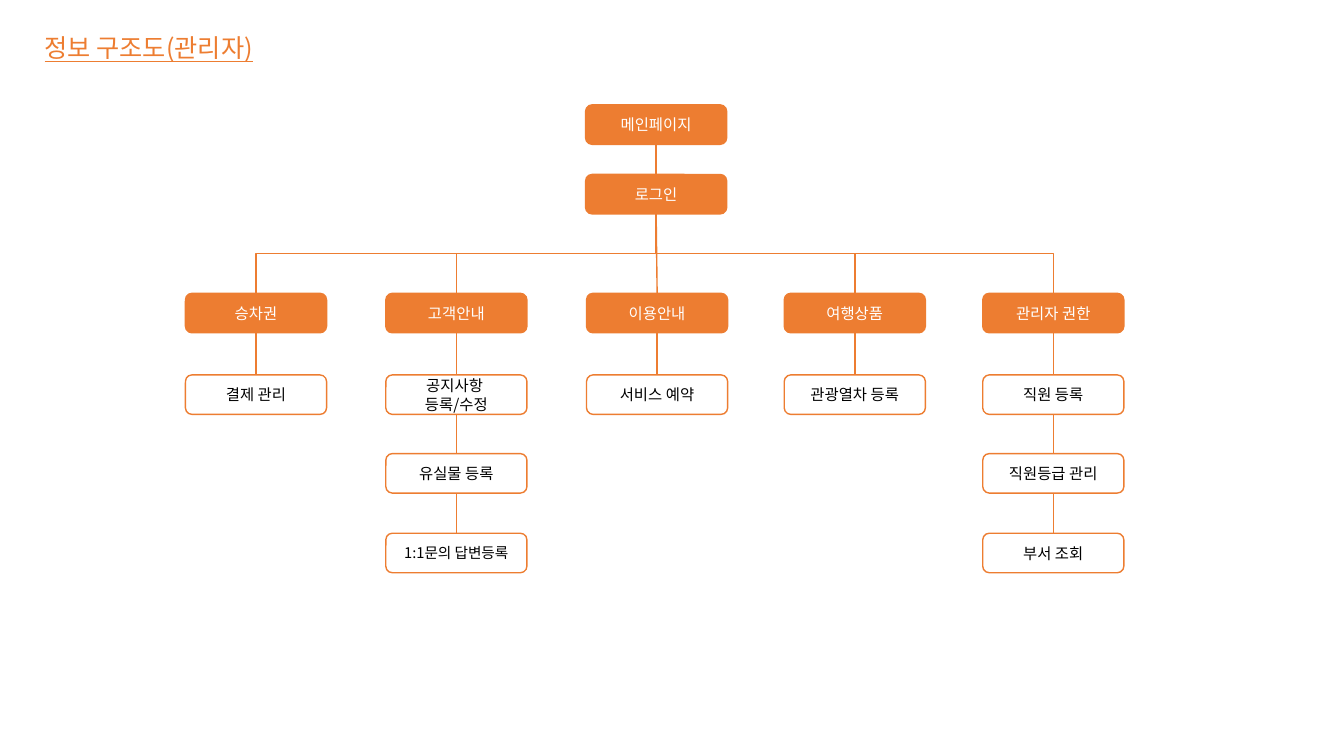
from lxml.etree import SubElement
from pptx import Presentation
from pptx.dml.color import RGBColor
from pptx.enum.shapes import MSO_CONNECTOR as Link, MSO_SHAPE as Shape
from pptx.enum.text import MSO_ANCHOR as Anchor, MSO_AUTO_SIZE as Auto, PP_ALIGN as Align
from pptx.oxml.ns import qn
from pptx.util import Pt

FACE = "Noto Sans CJK KR"
ORANGE = "ED7D31"
WIDE, HIGH = 100.8, 28.2
ROOT = 468.7
MAIN, LOGIN, HEAD = 74.9, 124.6, 209.5
ROWS = [267.8, 324, 380.9]

menus = [
    (182.9, "승차권", ["결제 관리"]),
    (326, "고객안내", ["공지사항 \n등록/수정", "유실물 등록", "1:1문의 답변등록"]),
    (469.4, "이용안내", ["서비스 예약"]),
    (610.6, "여행상품", ["관광열차 등록"]),
    (752.4, "관리자 권한", ["직원 등록", "직원등급 관리", "부서 조회"]),
]

prs = Presentation()
prs.slide_width, prs.slide_height = Pt(960), Pt(540)
slide = prs.slides.add_slide(prs.slide_layouts[5])


def write(shape, text, size, color):
    frame = shape.text_frame
    frame.text = text
    frame.word_wrap = True
    frame.auto_size = Auto.NONE
    frame.vertical_anchor = Anchor.MIDDLE
    for par in frame.paragraphs:
        par.alignment = Align.CENTER
        par.line_spacing = 1.0
        font = par.font
        font.name, font.size = FACE, Pt(size)
        font.color.rgb = RGBColor.from_string(color)
        SubElement(font._rPr, qn("a:ea")).set("typeface", FACE)


def join(kind, x1, y1, x2, y2):
    link = slide.shapes.add_connector(kind, Pt(x1), Pt(y1), Pt(x2), Pt(y2))
    link.line.color.rgb = RGBColor.from_string(ORANGE)
    link.line.width = Pt(1)
    SubElement(link._element.spPr, qn("a:effectLst"))
    return link


title = slide.shapes.title
title.left, title.top, title.width, title.height = Pt(18), Pt(19.4), Pt(176.4), Pt(28.8)
write(title, "정보 구조도(관리자)", 18, ORANGE)
title.text_frame.paragraphs[0].font.underline = True

boxes = [(ROOT, MAIN, "메인페이지", True), (ROOT, LOGIN, "로그인", True)]
lines = [(ROOT, MAIN + HIGH, LOGIN)]
for mid, name, items in menus:
    boxes.append((mid, HEAD, name, True))
    last = HEAD
    for top, item in zip(ROWS, items):
        boxes.append((mid, top, item, False))
        lines.append((mid, last + HIGH, top))
        last = top

for mid, top, text, solid in boxes:
    box = slide.shapes.add_shape(
        Shape.ROUNDED_RECTANGLE, Pt(mid - WIDE / 2), Pt(top), Pt(WIDE), Pt(HIGH))
    box.shadow.inherit = False
    box.line.color.rgb = RGBColor.from_string(ORANGE)
    box.line.width = Pt(1)
    if solid:
        box.fill.solid()
        box.fill.fore_color.rgb = RGBColor.from_string(ORANGE)
    else:
        box.fill.background()
    size = 10.5 if text.startswith("1:1") else 11
    write(box, text, size, "FFFFFF" if solid else "000000")

for mid, top, end in lines:
    join(Link.STRAIGHT, mid, top, mid, end)

start = LOGIN + HIGH
drop = HEAD - start
for mid, name, items in menus:
    span = mid - ROOT
    if abs(span) < 1:
        join(Link.STRAIGHT, ROOT, start, mid, HEAD)
        continue
    x, y = (ROOT + mid) / 2, (start + HEAD) / 2
    half = drop / 2 if span < 0 else -drop / 2
    reach = abs(span) / 2
    link = join(Link.ELBOW, x - half, y - reach, x + half, y + reach)
    turn = 90 if span < 0 else 270
    link._element.spPr.find(qn("a:xfrm")).set("rot", str(turn * 60000))

prs.save("out.pptx")
